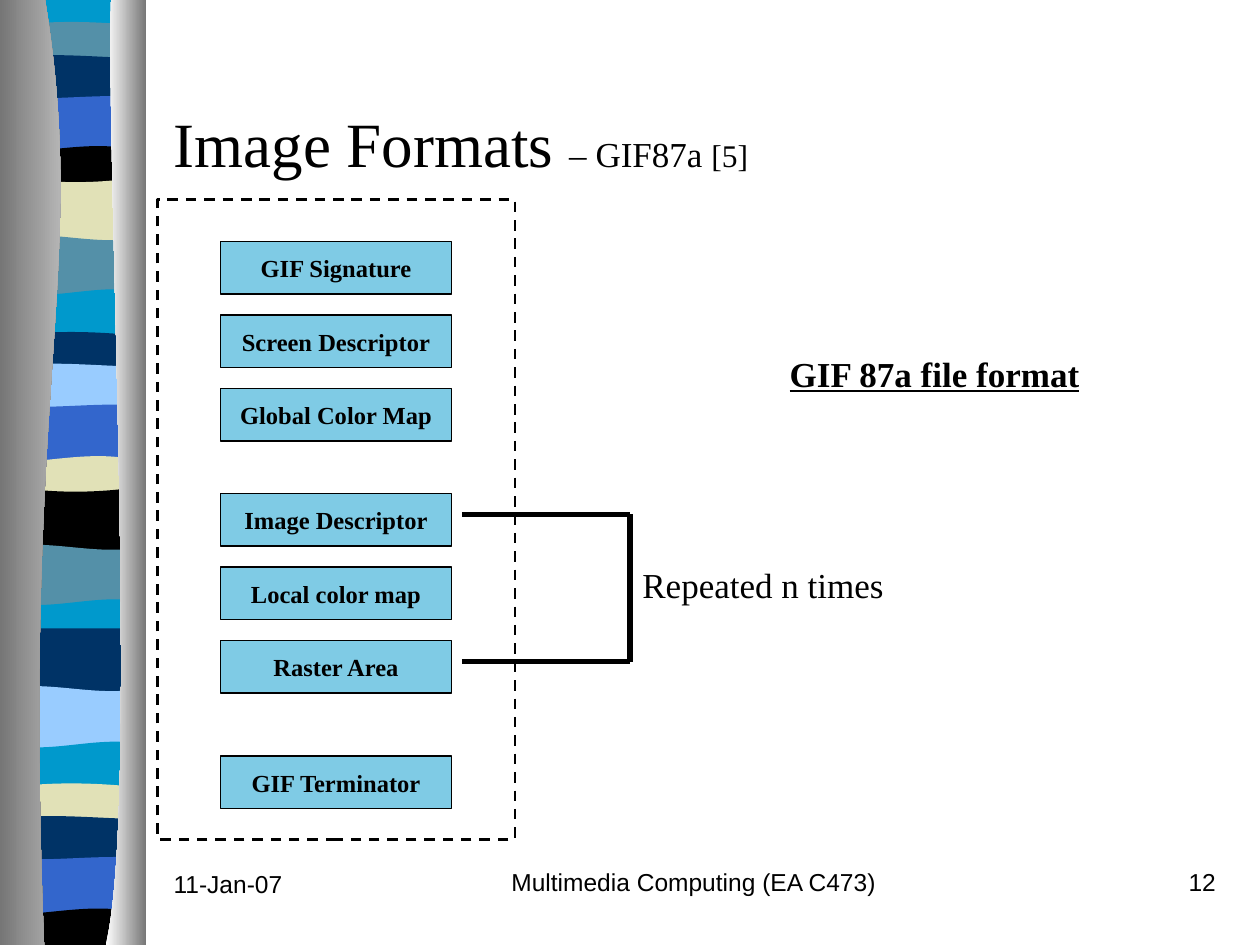
from dataclasses import dataclass

from lxml import etree
from pptx import Presentation
from pptx.dml.color import RGBColor
from pptx.enum.dml import MSO_LINE
from pptx.enum.shapes import MSO_CONNECTOR, MSO_SHAPE
from pptx.enum.text import MSO_ANCHOR, MSO_AUTO_SIZE, PP_ALIGN
from pptx.oxml.ns import qn
from pptx.util import Cm, Pt

LEFT, CENTER, RIGHT = PP_ALIGN.LEFT, PP_ALIGN.CENTER, PP_ALIGN.RIGHT
TOP, MIDDLE = MSO_ANCHOR.TOP, MSO_ANCHOR.MIDDLE
RECTANGLE, STRAIGHT, DASH = MSO_SHAPE.RECTANGLE, MSO_CONNECTOR.STRAIGHT, MSO_LINE.DASH

SERIF, SANS = "Times New Roman", "Arial"
BLACK, GREY, LIGHT_GREY, WHITE = "000000", "767676", "D3D3D3", "FFFFFF"
CYAN, TEAL, NAVY, BLUE = "0099CC", "5490A8", "003366", "3366CC"
SAND, SKY = "E1E1B7", "99CCFF"

SLIDE_WIDTH, SLIDE_HEIGHT = 25.4, 19.05
BAND_LEFT, BAND_RIGHT, BAND_OVERLAP = 0.15, 2.9, 0.15

Point = tuple[float, float]

# Vertical offsets of the four control points along a band's upper edge
FLAT = (0, 0, 0, 0)
DIP = (0, -0.13, -0.1, 0)
RISE = (0, -0.13, 0, 0)
HUMP = (0, 0.08, -0.08, 0)
ARCH = (0, 0, -0.28, 0)
SAG = (0, 0.15, 0.15, 0)
WAVE = (0, -0.15, 0.2, 0)
SWAY = (0, 0.2, -0.2, 0)


@dataclass
class Band:
    color: str
    top: float
    edge: tuple[float, ...]


@dataclass
class Block:
    label: str
    top: float


@dataclass
class Label:
    text: str
    left: float
    top: float
    width: float
    height: float
    size: int
    font: str = SERIF
    align: PP_ALIGN = LEFT
    bold: bool = False
    underline: bool = False


BANDS = [
    Band(CYAN, 0, FLAT), Band(TEAL, 0.53, DIP), Band(NAVY, 1.17, RISE),
    Band(BLUE, 1.96, HUMP), Band(BLACK, 3.07, ARCH), Band(SAND, 3.56, SAG),
    Band(TEAL, 4.78, WAVE), Band(CYAN, 5.89, SWAY), Band(NAVY, 6.78, DIP),
    Band(SKY, 7.39, RISE), Band(BLUE, 8.18, HUMP), Band(SAND, 9.32, ARCH),
    Band(BLACK, 9.8, SAG), Band(TEAL, 11.02, WAVE), Band(CYAN, 12.14, SWAY),
    Band(NAVY, 12.67, FLAT), Band(SKY, 13.87, WAVE), Band(CYAN, 15.01, SWAY),
    Band(SAND, 15.88, DIP), Band(NAVY, 16.51, RISE), Band(BLUE, 17.3, HUMP),
    Band(BLACK, 18.44, ARCH),
]

BLOCK_LEFT, BLOCK_WIDTH, BLOCK_HEIGHT, BLOCK_PITCH = 4.45, 4.65, 1.06, 1.48
BLOCK_GROUPS = [
    (4.87, ["GIF Signature", "Screen Descriptor", "Global Color Map"]),
    (9.95, ["Image Descriptor", "Local color map", "Raster Area"]),
    (15.24, ["GIF Terminator"]),
]
BLOCKS = [Block(label, top + row * BLOCK_PITCH)
          for top, labels in BLOCK_GROUPS for row, label in enumerate(labels)]

FOOTERS = [
    Label("11-Jan-07", 3.25, 17.4, 5.28, 1.27, 14, SANS),
    Label("Multimedia Computing (EA C473)", 9.96, 17.35, 8.05, 1.27, 14, SANS, CENTER),
    Label("12", 19.48, 17.35, 5.28, 1.27, 14, SANS, RIGHT),
]
NOTES = [
    Label("Repeated n times", 12.7, 11.23, 5.5, 1.11, 20),
    Label("GIF 87a file format", 15.67, 6.98, 8.05, 1.11, 20, bold=True, underline=True),
]


def color_of(value: str) -> RGBColor:
    return RGBColor.from_string(value)


def add_curved_outline(page, edge: list[Point], corners: list[Point]):
    """Draw a cubic curve through four control points, closed by straight sides."""
    points = [(Cm(x), Cm(y)) for x, y in edge + corners]
    builder = page.shapes.build_freeform(*points[0])
    builder.add_line_segments(points[1:], close=True)
    shape = builder.convert_to_shape()
    # Turn the first three segments into one curve
    segments = list(shape._element.iter(qn("a:lnTo")))[:3]
    bend = etree.Element(qn("a:cubicBezTo"))
    segments[0].addprevious(bend)
    for segment in segments:
        bend.append(segment[0])
        segment.getparent().remove(segment)
    shape.shadow.inherit = False
    shape.line.fill.background()
    return shape


def add_band(page, band: Band, bottom: float) -> None:
    step = (BAND_RIGHT - BAND_LEFT) / 3
    edge = [(BAND_LEFT + i * step, band.top + shift) for i, shift in enumerate(band.edge)]
    shape = add_curved_outline(page, edge, [(BAND_RIGHT, bottom), (BAND_LEFT, bottom)])
    shape.fill.solid()
    shape.fill.fore_color.rgb = color_of(band.color)


def add_side(page, edge: list[Point], outer: float, start: str, end: str) -> None:
    fill = add_curved_outline(page, edge, [(outer, SLIDE_HEIGHT), (outer, 0)]).fill
    fill.gradient()
    fill.gradient_angle = 0
    for stop, value in zip(fill.gradient_stops, (start, end)):
        stop.color.rgb = color_of(value)


def add_span(para, text: str, *, size: int, font: str = SERIF,
             bold: bool = False, underline: bool = False) -> None:
    span = para.add_run()
    span.text = text
    span.font.name, span.font.size = font, Pt(size)
    span.font.bold, span.font.underline = bold, underline
    span.font.color.rgb = color_of(BLACK)


def add_label(page, label: Label) -> None:
    box = page.shapes.add_textbox(Cm(label.left), Cm(label.top),
                                  Cm(label.width), Cm(label.height))
    box.text_frame.word_wrap = True
    box.text_frame.vertical_anchor = TOP
    para = box.text_frame.paragraphs[0]
    para.alignment = label.align
    add_span(para, label.text, size=label.size, font=label.font,
             bold=label.bold, underline=label.underline)


def add_rectangle(page, left: float, top: float, width: float, height: float,
                  line_width: float):
    shape = page.shapes.add_shape(RECTANGLE, Cm(left), Cm(top), Cm(width), Cm(height))
    shape.shadow.inherit = False
    shape.line.color.rgb = color_of(BLACK)
    shape.line.width = Pt(line_width)
    return shape


def add_block(page, block: Block) -> None:
    shape = add_rectangle(page, BLOCK_LEFT, block.top, BLOCK_WIDTH, BLOCK_HEIGHT, 0.75)
    shape.fill.solid()
    shape.fill.fore_color.rgb = color_of(CYAN)
    tint = shape._element.spPr.find(qn("a:solidFill"))[0]
    etree.SubElement(tint, qn("a:alpha"), val="50000")
    shape.text_frame.word_wrap = False
    shape.text_frame.vertical_anchor = MIDDLE
    para = shape.text_frame.paragraphs[0]
    para.alignment = CENTER
    add_span(para, block.label, size=14, bold=True)


def add_line(page, start: Point, end: Point) -> None:
    line = page.shapes.add_connector(STRAIGHT, *(Cm(value) for value in start + end))
    line.line.color.rgb = color_of(BLACK)
    line.line.width = Pt(3)
    etree.SubElement(line._element.spPr, qn("a:effectLst"))


def fill_title(page) -> None:
    title = page.shapes.title
    title.left, title.top, title.width, title.height = Cm(3.25), Cm(1.27), Cm(21.59), Cm(3.18)
    title.text_frame.auto_size = MSO_AUTO_SIZE.NONE
    title.text_frame.vertical_anchor = MIDDLE
    para = title.text_frame.paragraphs[0]
    para.alignment = LEFT
    for text, size in (("Image Formats ", 36), ("– GIF87a ", 20), ("[5]", 18)):
        add_span(para, text, size=size)


def main() -> None:
    deck = Presentation()
    deck.slide_width, deck.slide_height = Cm(SLIDE_WIDTH), Cm(SLIDE_HEIGHT)
    page = deck.slides.add_slide(deck.slide_layouts[5])

    # Striped ribbon between two grey sides; each band overlaps the one above
    bottoms = [band.top + BAND_OVERLAP for band in BANDS[1:]] + [SLIDE_HEIGHT]
    for band, bottom in zip(BANDS, bottoms):
        add_band(page, band, bottom)
    add_side(page, [(0.91, 0), (1.8, 5.49), (0.43, 7.52), (0.89, SLIDE_HEIGHT)],
             0, GREY, LIGHT_GREY)
    add_side(page, [(2.24, 0), (2.13, 3.18), (2.82, 16.41), (2.13, SLIDE_HEIGHT)],
             2.95, WHITE, GREY)

    # Title and footer
    fill_title(page)
    for footer in FOOTERS:
        add_label(page, footer)

    # File blocks inside a dashed frame
    for block in BLOCKS:
        add_block(page, block)
    frame = add_rectangle(page, 3.18, 4.02, 7.2, 12.9, 1.5)
    frame.fill.background()
    frame.line.dash_style = DASH

    # Bracket around the repeated blocks
    start, bend, upper, lower = 9.31, 12.7, 10.37, 13.34
    for level in (upper, lower):
        add_line(page, (start, level), (bend, level))
    add_line(page, (bend, upper), (bend, lower))
    for note in NOTES:
        add_label(page, note)

    deck.save("out.pptx")


if __name__ == "__main__":
    main()
